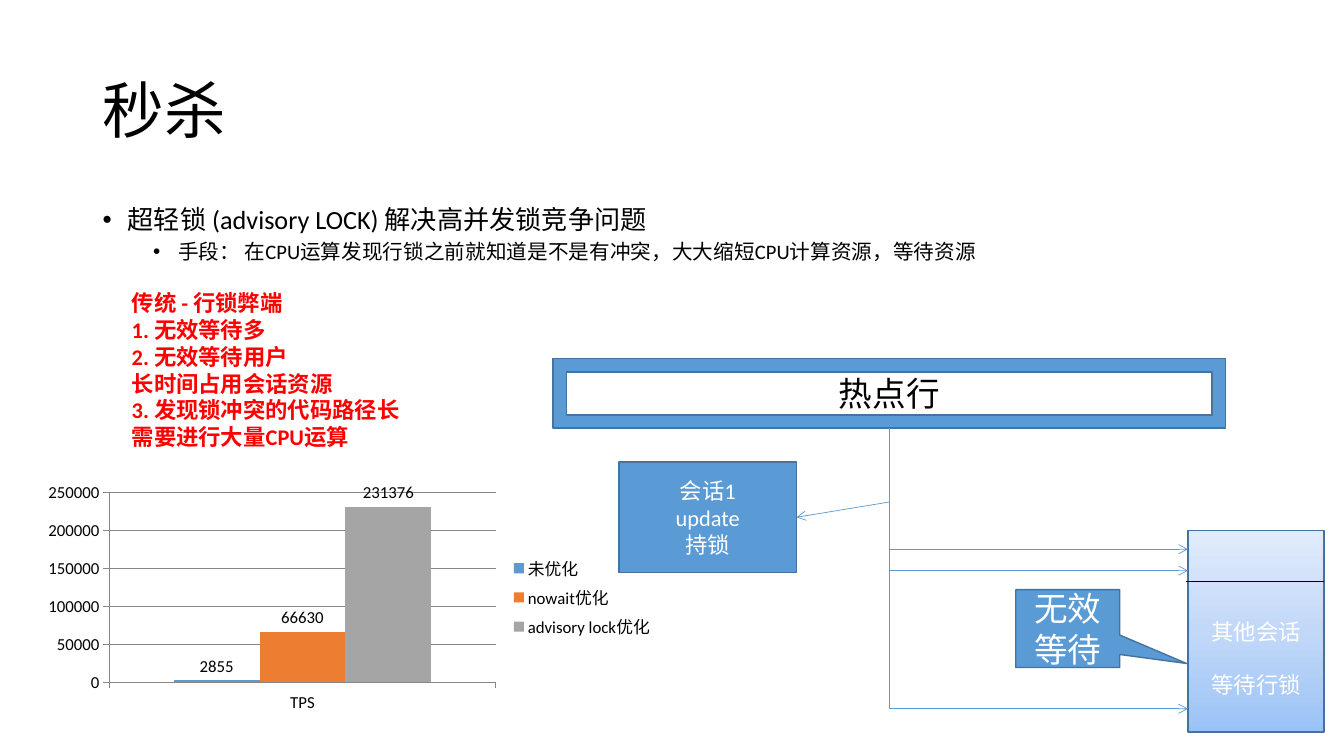
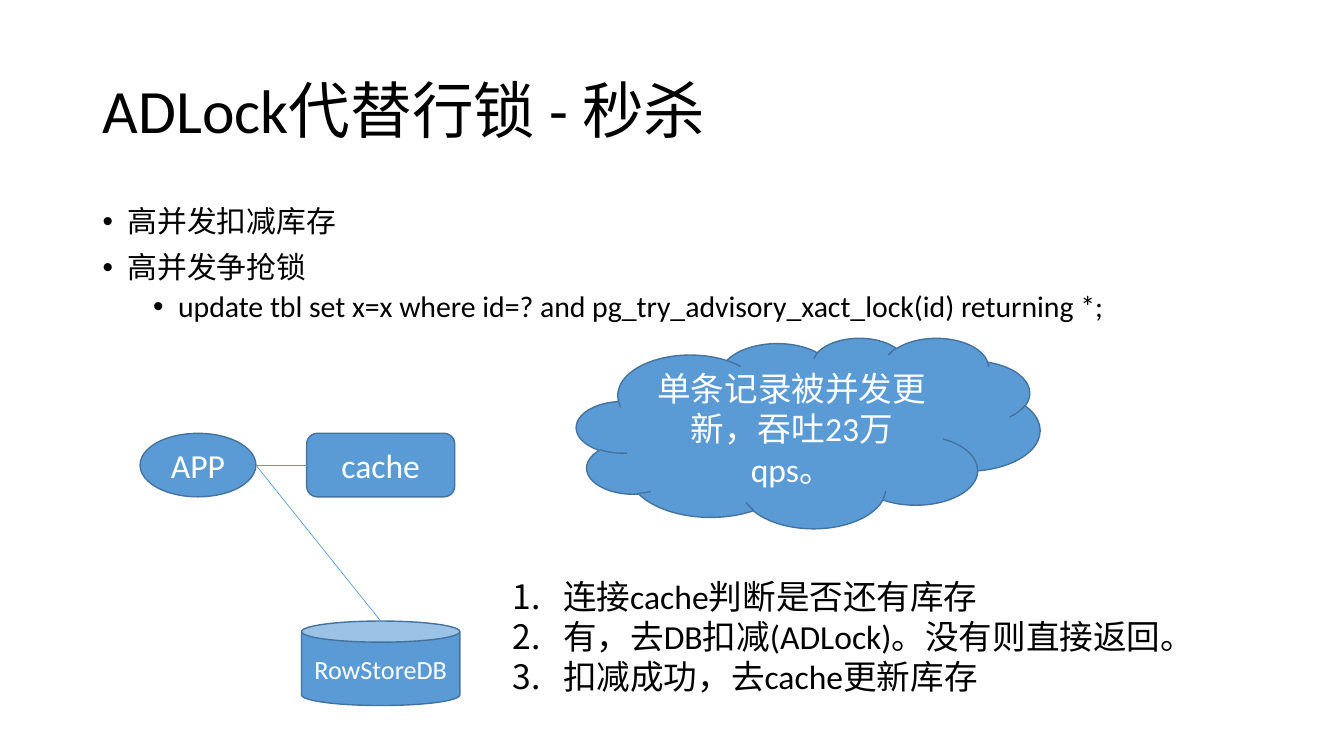
from copy import deepcopy
from dataclasses import dataclass
from typing import Any, Optional

from pptx import Presentation
from pptx import util as u
from pptx.chart import data as cd
from pptx.dml import color as dml
from pptx.enum import chart as ch
from pptx.enum import shapes, text
from pptx.oxml import ns, xmlchemy

SHAPE = shapes.MSO_SHAPE
ALIGN = text.PP_ALIGN
ANCHOR = text.MSO_ANCHOR


@dataclass(frozen=True)
class Theme:
    font: str = "Calibri"
    black: str = "000000"
    white: str = "FFFFFF"
    red: str = "FF0000"
    blue: str = "5B9BD5"
    outline: str = "43739E"
    orange: str = "ED7D31"
    gray: str = "A5A5A5"
    grid: str = "868686"
    gradient: tuple[str, ...] = ("9AC3F5", "C2D8F8", "E1EBFB")
    title: float = 44
    large: float = 24
    body: float = 21.3
    medium: float = 18.7
    small: float = 16
    detail: float = 14.7
    chart: float = 12


T = Theme()


@dataclass(frozen=True)
class Box:
    left: float
    top: float
    width: float
    height: float

    def emu(self) -> list[u.Length]:
        return [u.Cm(v) for v in (self.left, self.top, self.width, self.height)]

    @property
    def right(self) -> float:
        return self.left + self.width

    @property
    def bottom(self) -> float:
        return self.top + self.height

    @property
    def center(self) -> float:
        return self.left + self.width / 2

    @property
    def middle(self) -> float:
        return self.top + self.height / 2


@dataclass(frozen=True)
class Bullet:
    words: str
    size: float
    level: int = 0


@dataclass(frozen=True)
class Node:
    kind: Any
    box: Box
    lines: tuple[str, ...]
    size: float
    color: str = T.white
    adjust: tuple[float, ...] = ()


@dataclass(frozen=True)
class Link:
    start: tuple[float, float]
    end: tuple[float, float]
    color: str = T.blue
    arrow: bool = False
    kind: Any = shapes.MSO_CONNECTOR.STRAIGHT
    target: Optional[Any] = None
    site: int = 0


@dataclass(frozen=True)
class Series:
    name: str
    value: int
    color: str


TITLE = Box(2.34, 1.02, 29.21, 3.68)
BODY = Box(2.34, 5.08, 29.21, 12.09)


def rgb(value: str) -> dml.RGBColor:
    return dml.RGBColor.from_string(value)


def apply(target: Any, values: dict[str, Any]) -> None:
    for name, value in values.items():
        setattr(target, name, value)


def child(parent: Any, tag: str, **attrs: str) -> None:
    e = xmlchemy.OxmlElement(tag)
    for name, value in attrs.items():
        e.set(name, value)
    parent.append(e)


def write(tf: Any, lines: tuple[str, ...], size: float, color: str,
          bold: bool = False, **para: Any) -> None:
    for i, words in enumerate(lines):
        p = tf.add_paragraph() if i else tf.paragraphs[0]
        apply(p, para)
        r = p.add_run()
        r.text = words
        apply(r.font, {"name": T.font, "size": u.Pt(size), "bold": bold})
        r.font.color.rgb = rgb(color)


def add_text(s: Any, box: Box, **frame: Any) -> Any:
    tf = s.shapes.add_textbox(*box.emu()).text_frame
    apply(tf, {"word_wrap": True, **frame})
    return tf


def indent(p: Any, left: float, hang: float) -> Any:
    pr = p._p.get_or_add_pPr()
    pr.set("marL", str(u.Cm(left)))
    pr.set("indent", str(-u.Cm(hang)))
    return pr


def add_page(prs: Any, title: str, bullets: list[Bullet]) -> Any:
    s = prs.slides.add_slide(prs.slide_layouts[6])
    tf = add_text(s, TITLE, vertical_anchor=ANCHOR.MIDDLE)
    write(tf, (title,), T.title, T.black, line_spacing=0.9)
    tf = add_text(s, BODY)
    write(tf, tuple(b.words for b in bullets), T.body, T.black, line_spacing=0.9)
    for p, b in zip(tf.paragraphs, bullets):
        apply(p, {"level": b.level, "space_before": u.Pt(5 if b.level else 10)})
        p.runs[0].font.size = u.Pt(b.size)
        pr = indent(p, 0.63 + 1.27 * b.level, 0.63)
        child(pr, "a:buFont", typeface="Arial")
        child(pr, "a:buChar", char="•")
    return s


def add_node(s: Any, n: Node, **para: Any) -> Any:
    sp = s.shapes.add_shape(n.kind, *n.box.emu())
    sp.shadow.inherit = False
    sp.fill.solid()
    sp.fill.fore_color.rgb = rgb(T.blue)
    sp.line.color.rgb = rgb(T.outline)
    sp.line.width = u.Pt(1)
    for i, value in enumerate(n.adjust):
        sp.adjustments[i] = value
    apply(sp.text_frame, {"word_wrap": True, "vertical_anchor": ANCHOR.MIDDLE})
    write(sp.text_frame, n.lines, n.size, n.color, alignment=ALIGN.CENTER, **para)
    return sp


def fade(sp: Any, colors: tuple[str, ...]) -> None:
    sp.fill.gradient()
    sp.fill.gradient_angle = 90
    stops = sp._element.spPr.find(".//" + ns.qn("a:gsLst"))
    while len(stops) < len(colors):
        stops.append(deepcopy(stops[0]))
    for i, stop in enumerate(sp.fill.gradient_stops):
        stop.color.rgb = rgb(colors[i])
        stop.position = i / (len(colors) - 1)


def add_link(s: Any, link: Link) -> Any:
    ends = [u.Cm(v) for v in (*link.start, *link.end)]
    c = s.shapes.add_connector(link.kind, *ends)
    c.line.color.rgb = rgb(link.color)
    c.line.width = u.Pt(0.5)
    if link.arrow:
        child(c.line._get_or_add_ln(), "a:tailEnd", type="arrow")
    child(c._element.spPr, "a:effectLst")
    if link.target is not None:
        c.end_connect(link.target, link.site)
    return c


def add_down_then_right(s: Any, source: Any, link: Link) -> None:
    c = add_link(s, link)
    c.begin_connect(source, 2)
    (x1, y1), (x2, y2) = link.start, link.end
    run, drop = x2 - x1, y2 - y1
    turned = Box((x1 + x2 - drop) / 2, (y1 + y2 - run) / 2, drop, run)
    apply(c, dict(zip(("left", "top", "width", "height"), turned.emu())))
    pr = c._element.spPr
    for name, value in {"rot": "16200000", "flipH": "1"}.items():
        pr.xfrm.set(name, value)
    pr.find(ns.qn("a:prstGeom")).set("prst", "bentConnector2")


def add_columns(s: Any, box: Box, category: str, series: list[Series]) -> None:
    data = cd.CategoryChartData()
    data.categories = [category]
    for item in series:
        data.add_series(item.name, [item.value])
    chart = s.shapes.add_chart(ch.XL_CHART_TYPE.COLUMN_CLUSTERED, *box.emu(), data).chart
    apply(chart, {"has_title": False, "has_legend": True})
    apply(chart.font, {"name": T.font, "size": u.Pt(T.chart)})
    chart.font.color.rgb = rgb(T.black)
    apply(chart.legend, {"position": ch.XL_LEGEND_POSITION.RIGHT,
                         "include_in_layout": False})
    chart.value_axis.has_major_gridlines = True
    for axis in (chart.category_axis, chart.value_axis):
        axis.major_tick_mark = ch.XL_TICK_MARK.OUTSIDE
        axis.format.line.color.rgb = rgb(T.grid)
    chart.value_axis.major_gridlines.format.line.color.rgb = rgb(T.grid)
    plot = chart.plots[0]
    apply(plot, {"gap_width": 150, "vary_by_categories": False})
    for drawn, item in zip(plot.series, series):
        drawn.format.fill.solid()
        drawn.format.fill.fore_color.rgb = rgb(item.color)
        apply(drawn.data_labels, {"show_value": True,
                                  "position": ch.XL_LABEL_POSITION.OUTSIDE_END})


def hot_row_page(prs: Any) -> None:
    s = add_page(prs, "秒杀", [
        Bullet("超轻锁 (advisory LOCK) 解决高并发锁竞争问题", T.medium),
        Bullet("手段： 在CPU运算发现行锁之前就知道是不是有冲突，大大缩短CPU计算资源，等待资源",
               T.detail, 1),
    ])
    hot = Box(13.94, 9.04, 16.94, 1.75)
    waiting = Box(29.94, 13.37, 3.43, 5.08)
    holder = Box(15.6, 11.64, 4.47, 2.79)
    hot_row = add_node(s, Node(SHAPE.FRAME, hot, ("热点行",), T.large, T.black, (0.19,)))
    others = add_node(s, Node(SHAPE.RECTANGLE, waiting, ("其他会话", "等待行锁"), T.small))
    fade(others, T.gradient)
    others.text_frame.margin_top = u.Cm(1.48)
    others.text_frame.paragraphs[1].space_before = u.Pt(19)
    session = add_node(s, Node(SHAPE.RECTANGLE, holder, ("会话1", "update", "持锁"), T.small))

    for y in (13.84, 14.38, 17.86):
        add_down_then_right(s, hot_row, Link(
            (hot.center, hot.bottom), (waiting.left, y), arrow=True,
            kind=shapes.MSO_CONNECTOR.ELBOW))
    add_link(s, Link((hot.center, 12.65), (holder.right, holder.middle),
                     arrow=True, target=session, site=3))

    tf = add_text(s, Box(3.07, 7.16, 7.6, 4.37), word_wrap=False,
                  auto_size=text.MSO_AUTO_SIZE.SHAPE_TO_FIT_TEXT)
    write(tf, ("传统 - 行锁弊端", "1. 无效等待多", "2. 无效等待用户", "长时间占用会话资源",
               "3. 发现锁冲突的代码路径长", "需要进行大量CPU运算"), T.small, T.red, bold=True)
    add_link(s, Link((29.9, 14.64), (waiting.right, 14.64), T.black))
    add_node(s, Node(SHAPE.RECTANGULAR_CALLOUT, Box(25.6, 14.86, 2.62, 1.96),
                     ("无效等待",), T.large, adjust=(1.143, 0.449)))
    add_columns(s, Box(0.9, 12.04, 15.83, 6.03), "TPS", [
        Series("未优化", 2855, T.blue),
        Series("nowait优化", 66630, T.orange),
        Series("advisory lock优化", 231376, T.gray),
    ])


def advisory_lock_page(prs: Any) -> None:
    s = add_page(prs, "ADLock代替行锁 - 秒杀", [
        Bullet("高并发扣减库存", T.body),
        Bullet("高并发争抢锁", T.body),
        Bullet("update tbl set x=x where id=? and pg_try_advisory_xact_lock(id) returning *;",
               T.body, 1),
    ])
    app = Box(3.53, 10.92, 2.92, 1.6)
    cache = Box(7.73, 10.92, 3.73, 1.6)
    store = Box(7.6, 15.65, 3.99, 2.13)
    add_node(s, Node(SHAPE.CLOUD, Box(14.53, 8.51, 11.68, 4.8),
                     ("单条记录被并发更新，吞吐23万qps。",), T.large))
    cache_node = add_node(s, Node(SHAPE.ROUNDED_RECTANGLE, cache, ("cache",), T.large))
    add_node(s, Node(SHAPE.CAN, store, ("RowStoreDB",), T.medium))
    add_node(s, Node(SHAPE.OVAL, app, ("APP",), T.large))
    origin = (app.right, app.middle)
    add_link(s, Link(origin, (cache.left, cache.middle), target=cache_node, site=1))
    add_link(s, Link(origin, (store.center, store.top)))

    tf = add_text(s, Box(12.67, 14.38, 17.83, 3.33), word_wrap=False,
                  auto_size=text.MSO_AUTO_SIZE.SHAPE_TO_FIT_TEXT)
    write(tf, ("连接cache判断是否还有库存", "有，去DB扣减(ADLock)。没有则直接返回。",
               "扣减成功，去cache更新库存"), T.large, T.black)
    for p in tf.paragraphs:
        child(indent(p, 1.27, 1.27), "a:buAutoNum", type="arabicPeriod")


def main() -> None:
    prs = Presentation()
    apply(prs, {"slide_width": u.Cm(33.87), "slide_height": u.Cm(19.05)})
    hot_row_page(prs)
    advisory_lock_page(prs)
    prs.save("out.pptx")


if __name__ == "__main__":
    main()
